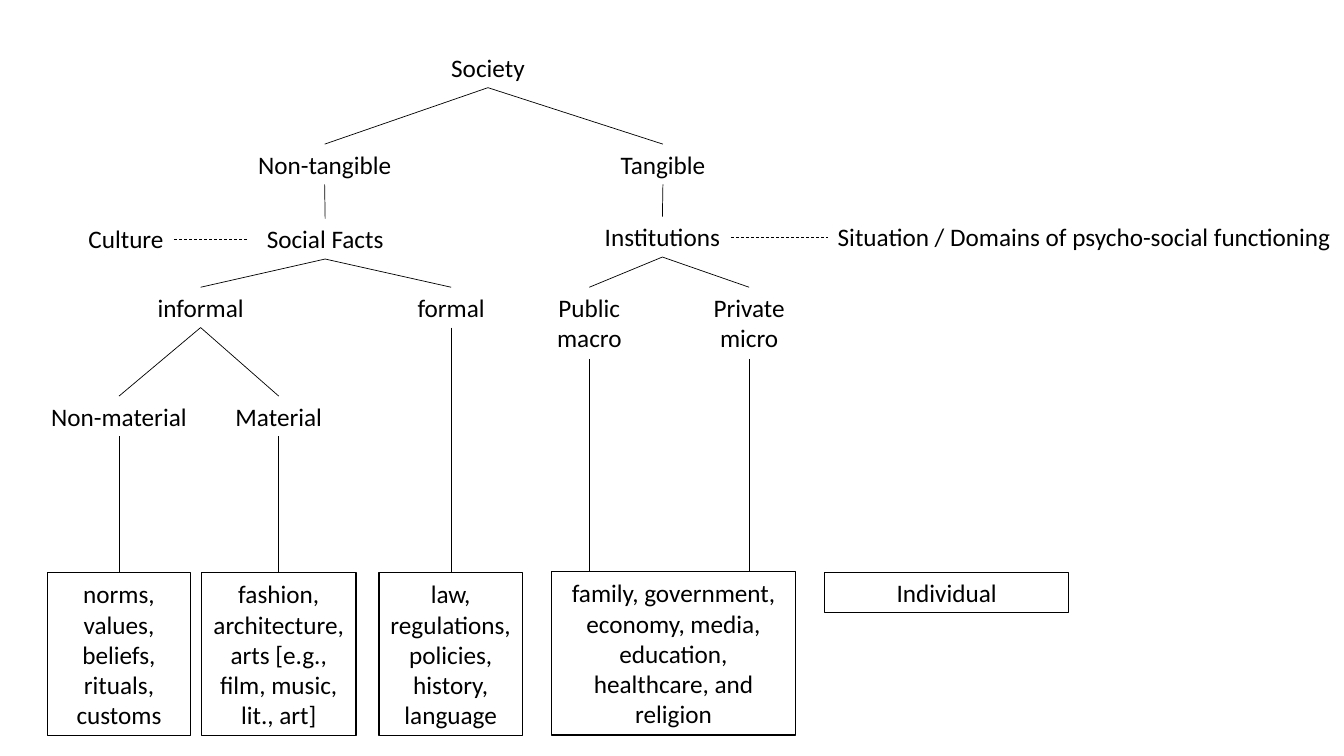
from dataclasses import dataclass

from lxml import etree
from pptx import Presentation
from pptx.dml.color import RGBColor
from pptx.enum import dml, shapes, text
from pptx.oxml.ns import qn
from pptx.util import Inches, Pt

BLACK = RGBColor(0x00, 0x00, 0x00)
WHITE = RGBColor(0xFF, 0xFF, 0xFF)
FONT = {"name": "Calibri", "size": Pt(18)}
ROW = 0.4
LEAF_HEIGHT = 1.62


@dataclass
class Box:
    """A rectangle in inches."""
    left: float
    top: float
    width: float
    height: float = ROW

    def inside(self, left, top, width, height=ROW):
        """Return a box placed relative to this one."""
        return Box(self.left + left, self.top + top, width, height)

    def lengths(self):
        return [Inches(n) for n in (self.left, self.top, self.width, self.height)]

    def anchor(self, across, down):
        """Return the point at these fractions of the width and height."""
        return self.left + across * self.width, self.top + down * self.height


def write(shape, content, wrap, align):
    frame = shape.text_frame
    frame.text = content
    frame.word_wrap = wrap
    frame.auto_size = text.MSO_AUTO_SIZE.SHAPE_TO_FIT_TEXT
    for para in frame.paragraphs:
        para.alignment = align
        for name, value in FONT.items():
            setattr(para.font, name, value)
        para.font.color.rgb = BLACK


def add_label(page, box, content, align=text.PP_ALIGN.CENTER):
    write(page.shapes.add_textbox(*box.lengths()), content, False, align)
    return box


def add_leaf(page, box, content):
    """Add a white box with a black outline."""
    shape = page.shapes.add_shape(shapes.MSO_SHAPE.RECTANGLE, *box.lengths())
    shape.shadow.inherit = False
    shape.fill.solid()
    shape.fill.fore_color.rgb = WHITE
    shape.line.color.rgb = BLACK
    shape.line.width = Pt(1)
    write(shape, content, True, text.PP_ALIGN.CENTER)
    return box


def add_line(page, start, end, dashed=False):
    line = page.shapes.add_connector(
        shapes.MSO_CONNECTOR.STRAIGHT, *[Inches(n) for n in (*start, *end)])
    line.line.color.rgb = BLACK
    line.line.width = Pt(0.5)
    if dashed:
        line.line.dash_style = dml.MSO_LINE.DASH
    etree.SubElement(line._element.spPr, qn("a:effectLst"))


def branch(page, parent, *children):
    """Join the foot of a label to the head of each child."""
    for child in children:
        add_line(page, parent.anchor(0.5, 1), child.anchor(0.5, 0))


def drop(page, label, leaf):
    """Run a vertical line from a label down to a leaf."""
    across, foot = label.anchor(0.5, 1)
    add_line(page, (across, foot), (across, leaf.top))


def relate(page, first, second):
    """Join two neighbours with a dashed line."""
    add_line(page, first.anchor(1, 0.5), second.anchor(0, 0.5), dashed=True)


def draw_non_tangible(page, area):
    head = add_label(page, area.inside(2.05, 0, 1.54), "Non-tangible")
    culture = add_label(page, area.inside(0.37, 0.74, 0.96), "Culture")
    facts = add_label(page, area.inside(2.07, 0.74, 1.51), "Social Facts")
    informal = add_label(page, area.inside(1.06, 1.42, 1.06), "informal")
    formal = add_label(page, area.inside(3.64, 1.42, 0.87), "formal")
    non_material = add_label(page, area.inside(0, 2.5, 1.56), "Non-material")
    material = add_label(page, area.inside(1.83, 2.5, 1.07), "Material")
    branch(page, head, facts)
    branch(page, facts, informal, formal)
    branch(page, informal, non_material, material)
    relate(page, culture, facts)
    for label, left, width, content in (
        (non_material, 0.07, 1.42, "norms, values, beliefs, rituals, customs"),
        (material, 1.6, 1.53,
         "fashion, architecture, arts [e.g., film, music, lit., art]"),
        (formal, 3.36, 1.42, "law, regulations, policies, history, language"),
    ):
        leaf = add_leaf(page, area.inside(left, 4.25, width, LEAF_HEIGHT), content)
        drop(page, label, leaf)
    return head


def draw_tangible(page, area):
    head = add_label(page, area.inside(0.63, 0, 1.05), "Tangible")
    institutions = add_label(page, area.inside(0.47, 0.72, 1.36), "Institutions")
    public = add_label(page, area.inside(0, 1.42, 0.85, 0.71), "Public\nmacro")
    private = add_label(page, area.inside(1.55, 1.42, 0.92, 0.71), "Private\nmicro")
    situation = add_label(
        page, area.inside(2.79, 0.72, 5.15),
        "Situation / Domains of psycho-social functioning", text.PP_ALIGN.LEFT)
    leaf = add_leaf(
        page, area.inside(0.05, 4.24, 2.42, LEAF_HEIGHT),
        "family, government, economy, media, education, healthcare, and religion")
    add_leaf(page, area.inside(2.76, 4.25, 2.42), "Individual")
    branch(page, head, institutions)
    branch(page, institutions, public, private)
    relate(page, institutions, situation)
    for label in (public, private):
        drop(page, label, leaf)
    return head


def draw_society(page, area):
    society = add_label(page, area.inside(3.97, 0, 0.94), "Society")
    non_tangible = draw_non_tangible(page, area.inside(0, 0.96, 4.78, 5.87))
    tangible = draw_tangible(page, area.inside(5.02, 0.96, 7.94, 5.87))
    branch(page, society, non_tangible, tangible)


def main():
    deck = Presentation()
    deck.slide_width, deck.slide_height = Inches(13.33), Inches(7.5)
    page = deck.slides.add_slide(deck.slide_layouts[6])
    draw_society(page, Box(0.4, 0.47, 12.96, 6.83))
    deck.save("out.pptx")


if __name__ == "__main__":
    main()
